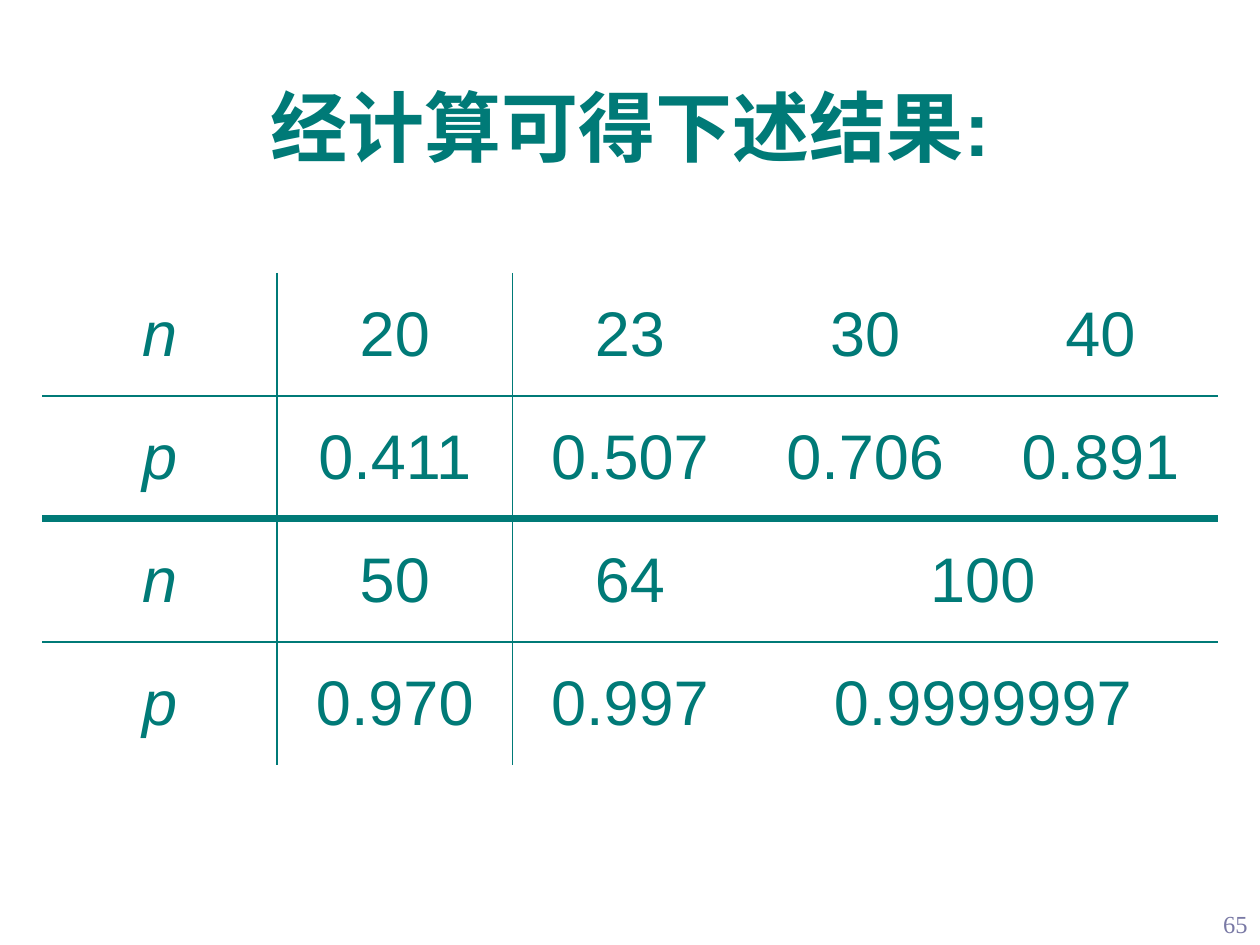
from dataclasses import dataclass

from lxml import etree
from pptx import Presentation
from pptx.dml.color import RGBColor
from pptx.enum.text import MSO_ANCHOR, PP_ALIGN
from pptx.oxml.ns import qn
from pptx.slide import Slide
from pptx.table import Table, _Cell
from pptx.text.text import TextFrame
from pptx.util import Pt

CENTER, RIGHT = PP_ALIGN.CENTER, PP_ALIGN.RIGHT
TOP, MIDDLE = MSO_ANCHOR.TOP, MSO_ANCHOR.MIDDLE
NO_STYLE_NO_GRID = "{2D5ABB26-0587-4C30-8999-92F81FD0307C}"


@dataclass(frozen=True)
class Theme:
    teal: str = "007A77"
    lavender: str = "7979A5"
    body_font: str = "Arial"
    number_font: str = "Times New Roman"
    title_size: float = 44
    table_size: float = 36
    number_size: float = 14
    thin_line: float = 1
    thick_line: float = 4.5


@dataclass(frozen=True)
class Box:
    left: float
    top: float
    width: float
    height: float

    def lengths(self) -> tuple[Pt, Pt, Pt, Pt]:
        return Pt(self.left), Pt(self.top), Pt(self.width), Pt(self.height)


THEME = Theme()
TITLE_BOX = Box(24, 48, 672, 90)
TABLE_BOX = Box(24, 156, 672, 281)
NUMBER_BOX = Box(672, 516, 48, 24)

# None marks a cell joined to the one on its left.
RESULTS = (
    ("n", "20", "23", "30", "40"),
    ("p", "0.411", "0.507", "0.706", "0.891"),
    ("n", "50", "64", "100", None),
    ("p", "0.970", "0.997", "0.9999997", None),
)
ROW_RULES = (THEME.thin_line, THEME.thick_line, THEME.thin_line)


def write_text(frame: TextFrame, text: str, *, size: float, font: str = THEME.body_font,
               color: str = THEME.teal, align: PP_ALIGN = CENTER, bold: bool = False,
               italic: bool = False, line_spacing: float = 1.0) -> None:
    paragraph = frame.paragraphs[0]
    paragraph.alignment = align
    paragraph.line_spacing = line_spacing
    run = paragraph.add_run()
    run.text = text
    run.font.name = font
    run.font.size = Pt(size)
    run.font.bold = bold
    run.font.italic = italic
    run.font.color.rgb = RGBColor.from_string(color)


def add_text(slide: Slide, box: Box, text: str, *, anchor: MSO_ANCHOR, **text_format) -> None:
    frame = slide.shapes.add_textbox(*box.lengths()).text_frame
    frame.word_wrap = True
    frame.vertical_anchor = anchor
    write_text(frame, text, **text_format)


def set_borders(cell: _Cell, widths: dict[str, float]) -> None:
    """Draw the given sides (L, R, T, B, in that order) with widths in points."""
    properties = cell._tc.get_or_add_tcPr()
    for side, width in widths.items():
        line = etree.SubElement(properties, qn(f"a:ln{side}"), w=str(Pt(width)))
        fill = etree.SubElement(line, qn("a:solidFill"))
        etree.SubElement(fill, qn("a:srgbClr"), val=THEME.teal)


def cell_borders(row: int, column: int) -> dict[str, float]:
    """Rules lie between rows and to the right of the first column."""
    borders = {}
    if column == 1:
        borders["L"] = THEME.thin_line
    if column == 0:
        borders["R"] = THEME.thin_line
    if row > 0:
        borders["T"] = ROW_RULES[row - 1]
    if row < len(ROW_RULES):
        borders["B"] = ROW_RULES[row]
    return borders


def clear_style(table: Table) -> None:
    table.first_row = False
    table.horz_banding = False
    table._tbl.tblPr.find(qn("a:tableStyleId")).text = NO_STYLE_NO_GRID


def add_results(slide: Slide) -> None:
    table = slide.shapes.add_table(
        len(RESULTS), len(RESULTS[0]), *TABLE_BOX.lengths()).table
    clear_style(table)
    for row, values in enumerate(RESULTS):
        for column, value in enumerate(values):
            cell = table.cell(row, column)
            set_borders(cell, cell_borders(row, column))
            cell.fill.background()
            cell.vertical_anchor = MIDDLE
            if value is None:
                table.cell(row, column - 1).merge(cell)
            else:
                write_text(cell.text_frame, value, size=THEME.table_size,
                           italic=column == 0)


def main() -> None:
    presentation = Presentation()
    presentation.slide_width = Pt(720)
    presentation.slide_height = Pt(540)
    slide = presentation.slides.add_slide(presentation.slide_layouts[6])
    add_text(slide, NUMBER_BOX, "65", anchor=MIDDLE, size=THEME.number_size,
             font=THEME.number_font, color=THEME.lavender, align=RIGHT)
    add_text(slide, TITLE_BOX, "经计算可得下述结果:", anchor=TOP,
             size=THEME.title_size, bold=True, line_spacing=0.9)
    add_results(slide)
    presentation.save("out.pptx")


if __name__ == "__main__":
    main()
